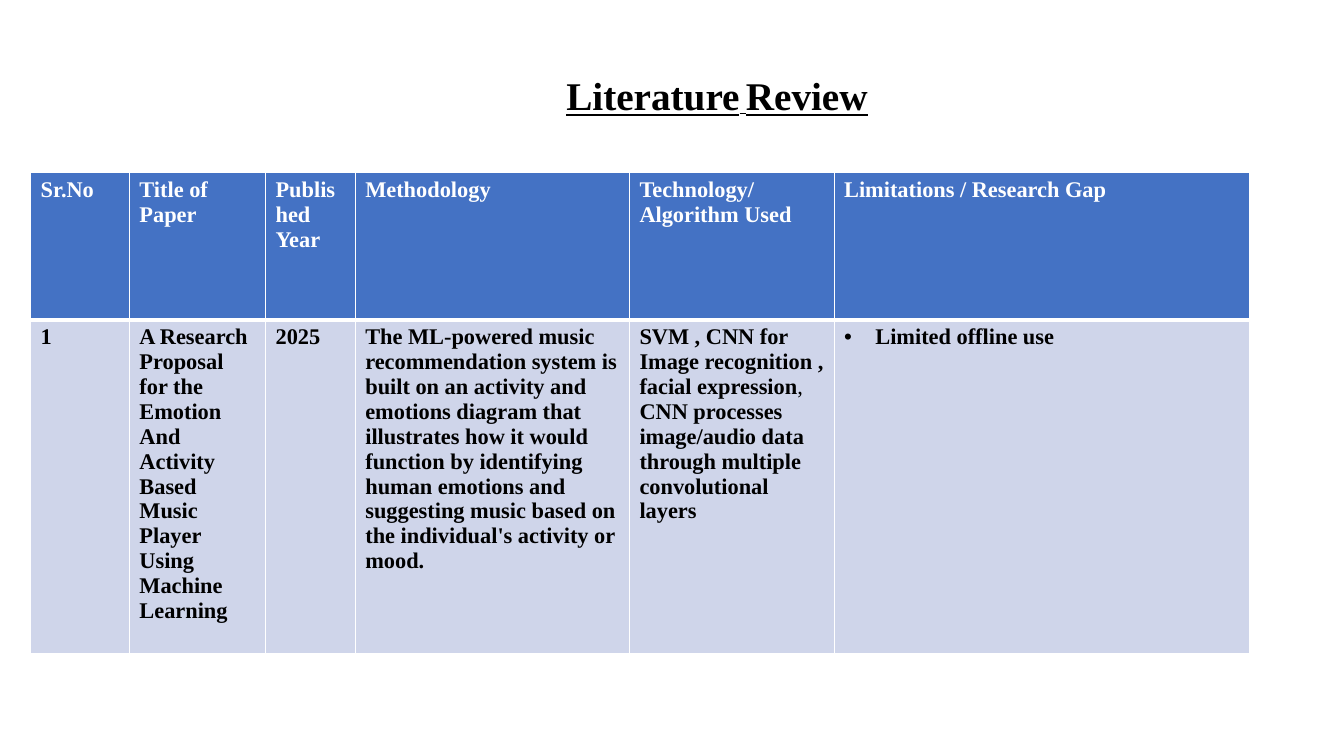
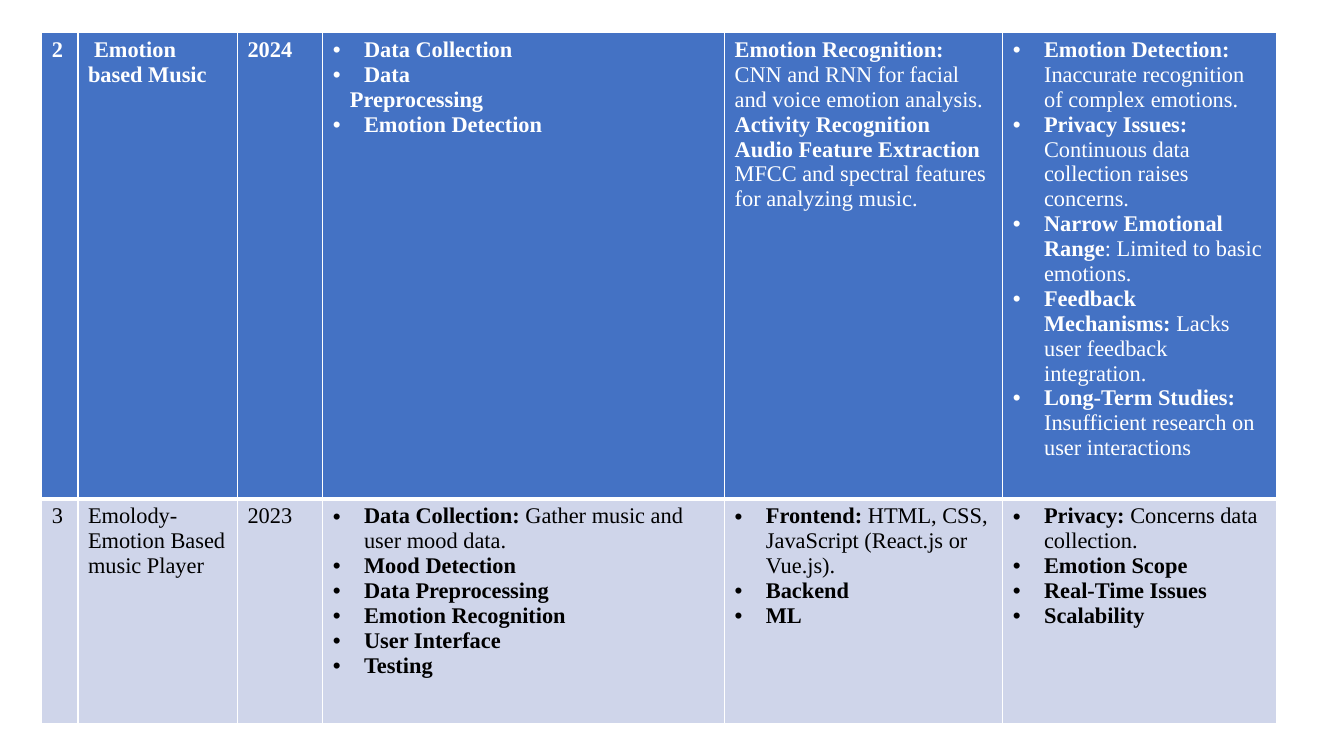
from lxml import etree
from pptx import Presentation
from pptx import util as u
from pptx.dml.color import RGBColor
from pptx.enum import text
from pptx.oxml.ns import qn

FONT = "Times New Roman"
BLACK = RGBColor(0x00, 0x00, 0x00)
WHITE = RGBColor(0xFF, 0xFF, 0xFF)
BLUE = RGBColor(0x44, 0x72, 0xC4)
PALE = RGBColor(0xCF, 0xD5, 0xEA)

TITLE_ONLY, BLANK = 5, 6
BULLET_INDENT = 0.31


class Deck:
    """Holds the style and the current slide; lengths are percent of the slide."""

    def __init__(self):
        self.prs = Presentation()
        self.prs.slide_width = u.Inches(13.33)
        self.prs.slide_height = u.Inches(7.5)
        self.slide = None

    def x(self, percent):
        return round(self.prs.slide_width * percent / 100)

    def y(self, percent):
        return round(self.prs.slide_height * percent / 100)

    def new_slide(self, layout):
        self.slide = self.prs.slides.add_slide(self.prs.slide_layouts[layout])

    def run(self, para, words, size, color, bold):
        run = para.add_run()
        run.text = words
        font = run.font
        font.name, font.size, font.bold = FONT, u.Pt(size), bold
        font.color.rgb = color
        return run

    def title(self, left, top, width, height, parts):
        """Each part is (words, size, bold)."""
        heading = self.slide.shapes.title
        heading.left, heading.top = self.x(left), self.y(top)
        heading.width, heading.height = self.x(width), self.y(height)
        frame = heading.text_frame
        frame.auto_size = text.MSO_AUTO_SIZE.NONE
        frame.vertical_anchor = text.MSO_ANCHOR.MIDDLE
        para = frame.paragraphs[0]
        para.alignment = text.PP_ALIGN.CENTER
        for words, size, bold in parts:
            self.run(para, words, size, BLACK, bold).font.underline = True

    def table(self, left, top, columns, heights, rows):
        """The first row is the blue one, the rest are pale."""
        grid = self.slide.shapes.add_table(
            len(rows), len(columns), self.x(left), self.y(top),
            self.x(sum(columns)), self.y(sum(heights))).table
        for column, width in zip(grid.columns, columns):
            column.width = self.x(width)
        for index, (row, height, entries) in enumerate(zip(grid.rows, heights, rows)):
            row.height = self.y(height)
            is_head = index == 0
            for cell, entry in zip(row.cells, entries):
                self.borders(cell, top=1 if is_head else 3, bottom=3 if is_head else 1)
                cell.fill.solid()
                cell.fill.fore_color.rgb = BLUE if is_head else PALE
                self.cell_text(cell, entry, WHITE if is_head else BLACK)

    def borders(self, cell, top, bottom):
        props = cell._tc.get_or_add_tcPr()
        for side, points in (("L", 1), ("R", 1), ("T", top), ("B", bottom)):
            line = etree.SubElement(props, qn("a:ln" + side), w=str(u.Pt(points)))
            fill = etree.SubElement(line, qn("a:solidFill"))
            etree.SubElement(fill, qn("a:srgbClr"), val=str(WHITE))

    def cell_text(self, cell, entry, color):
        """One paragraph a line: • makes a bullet, > and >> indent, * toggles bold."""
        frame = cell.text_frame
        for index, line in enumerate(entry.split("\n")):
            para = frame.add_paragraph() if index else frame.paragraphs[0]
            if line.startswith("•"):
                self.indent(para, BULLET_INDENT, -BULLET_INDENT)
                props = para._p.get_or_add_pPr()
                etree.SubElement(props, qn("a:buFont"), typeface="Arial")
                etree.SubElement(props, qn("a:buChar"), char="•")
            elif line.startswith(">>"):
                self.indent(para, 0.17, 0)
            elif line.startswith(">"):
                self.indent(para, 0, 0.06)
            for part, words in enumerate(line.lstrip("•>").split("*")):
                if words:
                    self.run(para, words, 16, color, part % 2 == 1)

    def indent(self, para, margin, first):
        props = para._p.get_or_add_pPr()
        props.set("marL", str(u.Inches(margin)))
        props.set("indent", str(u.Inches(first)))


REVIEW_START = [
    ["*Sr.No", "*Title of Paper", "*Published Year", "*Methodology",
     "*Technology/Algorithm Used", "*Limitations / Research Gap"],
    ["*1",
     "*A Research Proposal for the Emotion And Activity Based Music Player "
     "Using Machine Learning",
     "*2025",
     "*The ML-powered music recommendation system is built on an activity and "
     "emotions diagram that illustrates how it would function by identifying "
     "human emotions and suggesting music based on the individual's activity or mood.",
     "*SVM , CNN for Image recognition , facial expression*,\n"
     "*CNN processes image/audio data through multiple convolutional layers",
     "•*Limited offline use"],
]

REVIEW_REST = [
    ["*2", ">*Emotion based Music", "*2024",
     "•*Data Collection\n•*Data\n>>*Preprocessing\n•*Emotion Detection",
     "*Emotion Recognition:\n"
     "CNN and RNN for facial and voice emotion analysis.\n"
     "*Activity Recognition\n"
     "*Audio Feature Extraction\n"
     "MFCC and spectral features for analyzing music.",
     "•*Emotion Detection: *Inaccurate recognition of complex emotions.\n"
     "•*Privacy Issues: *Continuous data collection raises concerns.\n"
     "•*Narrow Emotional Range*: Limited to basic emotions.\n"
     "•*Feedback Mechanisms: *Lacks user feedback integration.\n"
     "•*Long-Term Studies: *Insufficient research on user interactions"],
    ["3", "Emolody-Emotion Based music Player", "2023",
     "•*Data Collection: *Gather music and user mood data.\n"
     "•*Mood Detection\n•*Data Preprocessing\n•*Emotion Recognition\n"
     "•*User Interface\n•*Testing",
     "•*Frontend: *HTML, CSS, JavaScript (React.js or Vue.js).\n•*Backend\n•*ML",
     "•*Privacy: *Concerns data collection.\n"
     "•*Emotion Scope\n•*Real-Time Issues\n•*Scalability"],
]


def main():
    deck = Deck()

    deck.new_slide(TITLE_ONLY)
    deck.table(2.28, 22.8, [7.35, 10.13, 6.68, 20.4, 15.23, 30.9],
               [19.5, 44.2], REVIEW_START)
    deck.title(28.35, 8.8, 50, 7.6,
               [("Literature", 28, True), (" ", 18, False), ("Review", 28, True)])

    deck.new_slide(BLANK)
    deck.table(3.1, 4.3, [2.7, 11.87, 6.35, 29.9, 20.7, 20.4],
               [61.7, 29.7], REVIEW_REST)

    deck.prs.save("out.pptx")


if __name__ == "__main__":
    main()
